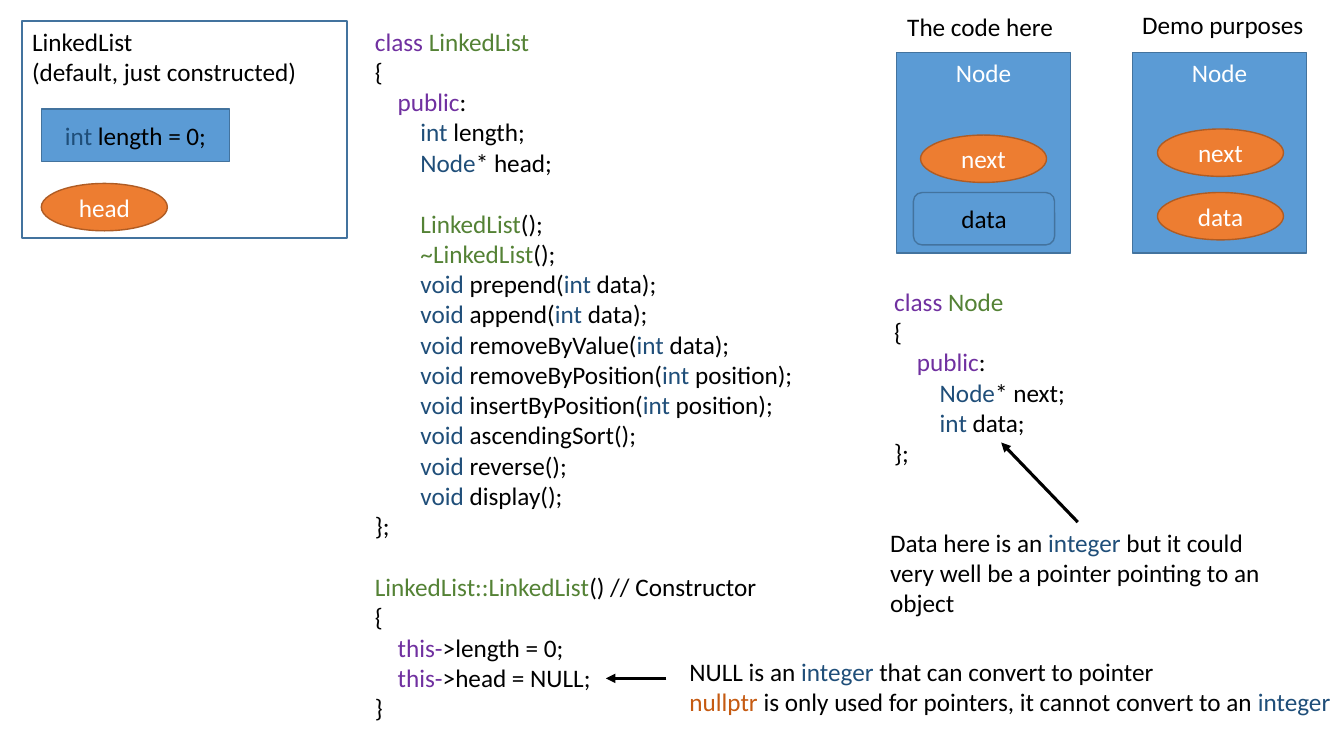
from lxml.etree import SubElement
from pptx import Presentation
from pptx.dml.color import RGBColor
from pptx.enum.shapes import MSO_CONNECTOR, MSO_SHAPE as Preset
from pptx.enum.text import MSO_ANCHOR as Anchor, MSO_AUTO_SIZE as AutoSize, PP_ALIGN as Align
from pptx.oxml.ns import qn
from pptx.util import Inches, Pt

BLACK = RGBColor(0x00, 0x00, 0x00)
WHITE = RGBColor(0xFF, 0xFF, 0xFF)
BLUE = RGBColor(0x5B, 0x9B, 0xD5)
BLUE_EDGE = RGBColor(0x43, 0x73, 0x9E)
ORANGE = RGBColor(0xED, 0x7D, 0x31)
ORANGE_EDGE = RGBColor(0xAF, 0x5C, 0x24)
KEYWORD = RGBColor(0x70, 0x30, 0xA0)
CLASS = RGBColor(0x54, 0x82, 0x35)
TYPE = RGBColor(0x1F, 0x4E, 0x79)
LITERAL = RGBColor(0xC5, 0x5A, 0x11)

MEMBER = "        "
STATEMENT = "    "
INT = ("int", TYPE)
INTEGER = ("integer", TYPE)
PUBLIC = [STATEMENT, ("public", KEYWORD), ":"]
BLANK = []


class Diagram:
    font = "Calibri"
    size = Pt(18)
    line_height = Pt(22)

    def __init__(self, slide):
        self.shapes = slide.shapes

    def add_lines(self, frame, lines, color=BLACK, align=Align.LEFT):
        """Each line is a list of strings or (string, colour); an empty one becomes space before the next."""
        gap = False
        paragraph = None
        for line in lines:
            if not line:
                gap = True
                continue
            paragraph = frame.add_paragraph() if paragraph else frame.paragraphs[0]
            paragraph.alignment = align
            if gap:
                paragraph.space_before = self.line_height
                gap = False
            for part in line:
                words, ink = (part, color) if isinstance(part, str) else part
                run = paragraph.add_run()
                run.text = words
                run.font.name = self.font
                run.font.size = self.size
                run.font.color.rgb = ink

    def text(self, left, top, width, height, lines, wrap=False):
        box = self.shapes.add_textbox(Inches(left), Inches(top), Inches(width), Inches(height))
        box.text_frame.word_wrap = wrap
        box.text_frame.auto_size = AutoSize.SHAPE_TO_FIT_TEXT
        self.add_lines(box.text_frame, lines)
        return box

    def block(self, preset, left, top, width, height, lines, fill=BLUE, edge=BLUE_EDGE,
              color=WHITE, align=Align.CENTER, anchor=Anchor.MIDDLE):
        shape = self.shapes.add_shape(preset, Inches(left), Inches(top), Inches(width), Inches(height))
        shape.shadow.inherit = False
        if fill is None:
            shape.fill.background()
        else:
            shape.fill.solid()
            shape.fill.fore_color.rgb = fill
        shape.line.color.rgb = edge
        shape.line.width = Pt(1)
        shape.text_frame.word_wrap = True
        shape.text_frame.vertical_anchor = anchor
        self.add_lines(shape.text_frame, lines, color, align)

    def pointer(self, left, top, name):
        self.block(Preset.OVAL, left, top, 1.25, 0.47, [[name]], ORANGE, ORANGE_EDGE)

    def node(self, left):
        self.block(Preset.RECTANGLE, left, 0.52, 1.73, 1.99, [["Node"]], anchor=Anchor.TOP)

    def arrow(self, x1, y1, x2, y2):
        arrow = self.shapes.add_connector(MSO_CONNECTOR.STRAIGHT, Inches(x1), Inches(y1), Inches(x2), Inches(y2))
        arrow.line.color.rgb = BLACK
        arrow.line.width = Pt(2.25)
        properties = arrow._element.spPr
        SubElement(properties.find(qn("a:ln")), qn("a:tailEnd"), type="triangle")
        SubElement(properties, qn("a:effectLst"))
        return arrow


def method(name, argument=None):
    """Declaration line of a void member function with at most one int argument."""
    start = [MEMBER, ("void ", TYPE)]
    if argument is None:
        return start + [f"{name}();"]
    return start + [f"{name}(", INT, f" {argument});"]


def class_head(name):
    return [[("class ", KEYWORD), (name, CLASS)], ["{"], PUBLIC]


def assign(target):
    return [STATEMENT, ("this-", KEYWORD), f">{target};"]


LIST_CODE = class_head("LinkedList") + [
    [MEMBER, INT, " length;"],
    [MEMBER, ("Node", TYPE), "* head;"],
    BLANK,
    [MEMBER, ("LinkedList", CLASS), "();"],
    [MEMBER, ("~LinkedList", CLASS), "();"],
    method("prepend", "data"),
    method("append", "data"),
    method("removeByValue", "data"),
    method("removeByPosition", "position"),
    method("insertByPosition", "position"),
    method("ascendingSort"),
    method("reverse"),
    method("display"),
    ["};"],
    BLANK,
    [("LinkedList::LinkedList", CLASS), "() // Constructor"],
    ["{"],
    assign("length = 0"),
    assign("head = NULL"),
    ["}"],
]
NODE_CODE = class_head("Node") + [
    [MEMBER, ("Node", TYPE), "* next;"],
    [MEMBER, INT, " data;"],
    ["};"],
]


def main():
    prs = Presentation()
    prs.slide_width, prs.slide_height = Inches(13.33), Inches(7.5)
    diagram = Diagram(prs.slides.add_slide(prs.slide_layouts[6]))

    # Freshly constructed list
    diagram.block(Preset.RECTANGLE, 0.22, 0.21, 3.22, 2.15,
                  [["LinkedList"], ["(default, just constructed)"]],
                  fill=None, color=BLACK, align=Align.LEFT, anchor=Anchor.TOP)
    diagram.block(Preset.RECTANGLE, 0.41, 1.08, 1.87, 0.52, [[INT, " length = 0;"]], color=BLACK)
    diagram.pointer(0.41, 1.82, "head")

    # Class declarations
    diagram.text(3.62, 0.21, 4.4, 7.07, LIST_CODE)
    diagram.text(8.77, 2.79, 1.92, 1.92, NODE_CODE)

    # Two node layouts
    diagram.text(8.9, 0.06, 1.67, 0.4, [["The code here"]])
    diagram.node(8.89)
    diagram.pointer(9.13, 1.34, "next")
    diagram.block(Preset.ROUNDED_RECTANGLE, 9.06, 1.91, 1.4, 0.52, [["data"]], color=BLACK)
    diagram.text(11.23, 0.04, 1.82, 0.4, [["Demo purposes"]])
    diagram.node(11.23)
    diagram.pointer(11.48, 1.28, "next")
    diagram.pointer(11.48, 1.91, "data")

    # Remarks with arrows to the code
    data_remark = diagram.text(8.73, 5.18, 3.92, 1.01, [
        ["Data here is an ", INTEGER, " but it could very well be a pointer pointing to an object"],
    ], wrap=True)
    diagram.arrow(10.69, 5.18, 9.93, 4.39).begin_connect(data_remark, 0)
    diagram.text(6.74, 6.46, 6.63, 0.71, [
        ["NULL is an ", INTEGER, " that can convert to pointer"],
        [("nullptr", LITERAL), " is only used for pointers, it cannot convert to an ", INTEGER],
    ])
    diagram.arrow(6.61, 6.73, 6.01, 6.73)

    prs.save("out.pptx")


if __name__ == "__main__":
    main()
